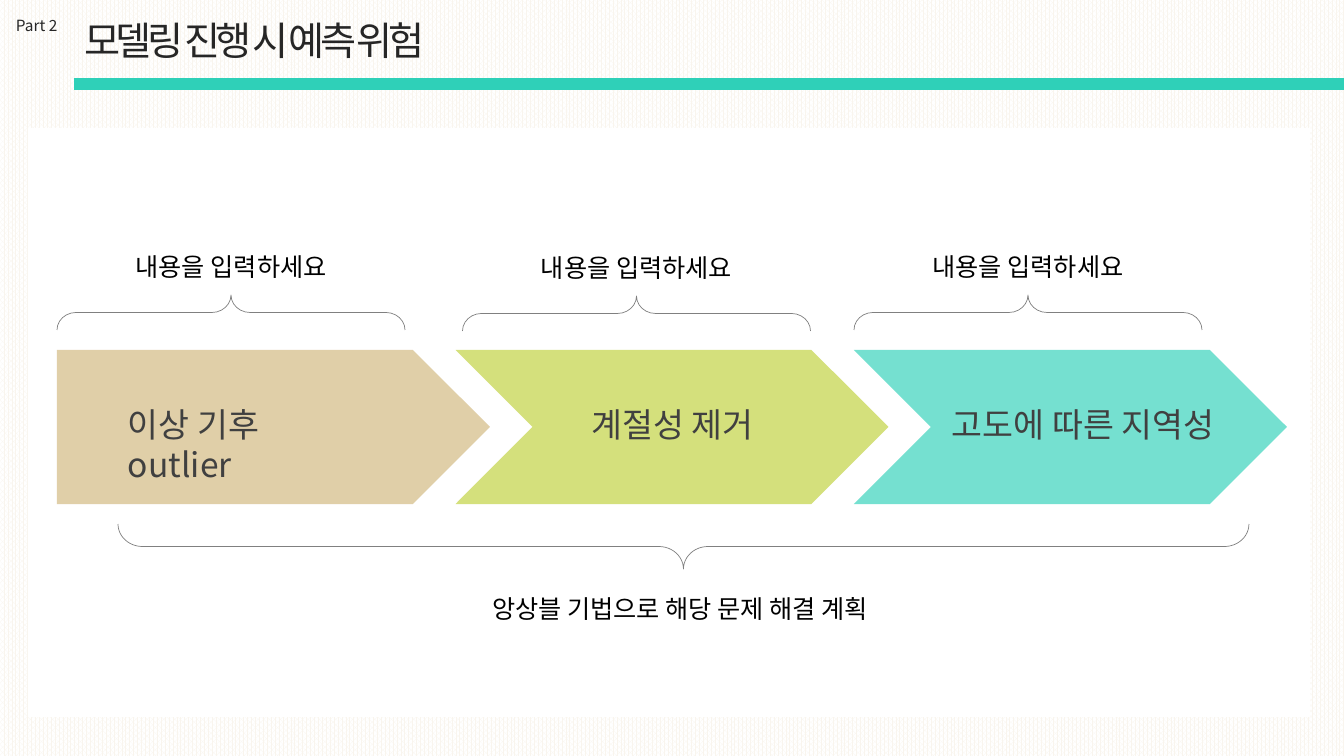
from dataclasses import dataclass

from lxml.etree import SubElement
from pptx import Presentation
from pptx.dml.color import RGBColor
from pptx.enum.dml import MSO_PATTERN
from pptx.enum.shapes import MSO_CONNECTOR, MSO_SHAPE as SHAPE
from pptx.enum.text import MSO_ANCHOR as ANCHOR, MSO_AUTO_SIZE, PP_ALIGN as ALIGN
from pptx.oxml.ns import qn
from pptx.util import Pt

SLIDE_W, SLIDE_H = 1344, 756
EMU_PER_PX = 12192000 / SLIDE_W


@dataclass(frozen=True)
class Theme:
    font: str = "Noto Sans CJK KR"
    heading: str = "262626"
    label: str = "404040"
    note: str = "000000"
    brace: str = "808080"
    accent: str = "2FD0B8"
    panel: str = "FFFFFF"
    weave: str = "F9F5EE"
    sand: str = "E0CFA8"
    lime: str = "D4E07C"
    aqua: str = "75E0D0"
    part_size: int = 11
    title_size: int = 28
    label_size: int = 24
    note_size: int = 18


THEME = Theme()


def px(n):
    return round(n * EMU_PER_PX)


def rgb(code):
    return RGBColor.from_string(code)


def write(sp, text, size, color, align=ALIGN.LEFT, spacing=None):
    """Fill a text frame with one formatted run."""
    tf = sp.text_frame
    tf.word_wrap = True
    tf.auto_size = MSO_AUTO_SIZE.NONE
    tf.vertical_anchor = ANCHOR.TOP
    p = tf.paragraphs[0]
    p.alignment = align
    r = p.add_run()
    r.text = text
    r.font.size = Pt(size)
    r.font.color.rgb = rgb(color)
    r.font.name = THEME.font
    rPr = r._r.get_or_add_rPr()
    SubElement(rPr, qn("a:ea")).set("typeface", THEME.font)
    if spacing is not None:
        rPr.set("spc", str(spacing * 100))


def add_text(s, box, *args, **kwargs):
    write(s.shapes.add_textbox(*map(px, box)), *args, **kwargs)


def add_block(s, kind, box, fill):
    sp = s.shapes.add_shape(kind, *map(px, box))
    sp.shadow.inherit = False
    sp.fill.solid()
    sp.fill.fore_color.rgb = rgb(fill)
    sp.line.fill.background()


def add_brace(s, box, rotation):
    """Draw a horizontal brace in the box: 90 points up, 270 points down."""
    x, y, w, h = box
    # The upright brace shares its centre with the turned one
    upright = (x + (w - h) / 2, y + (h - w) / 2, h, w)
    sp = s.shapes.add_shape(SHAPE.LEFT_BRACE, *map(px, upright))
    sp.rotation = rotation
    sp.adjustments[0] = 0.545
    sp.shadow.inherit = False
    sp.fill.background()
    sp.line.color.rgb = rgb(THEME.brace)
    sp.line.width = Pt(0.5)


def add_header(s, box, part, title):
    x, y, w, h = box
    # Accent rule along the bottom
    rule = s.shapes.add_connector(
        MSO_CONNECTOR.STRAIGHT, px(x + 74), px(y + h), px(x + w), px(y + h))
    rule.line.color.rgb = rgb(THEME.accent)
    rule.line.width = Pt(8)
    SubElement(rule._element.spPr, qn("a:effectLst"))
    # Part number and title
    add_text(s, (x + 6, y + 11, 66, 29), part, THEME.part_size, THEME.heading)
    sp = s.shapes.title
    sp.left, sp.top, sp.width, sp.height = map(px, (x + 74, y + 11, 420, 57))
    write(sp, title, THEME.title_size, THEME.heading, spacing=-3)


def add_step(s, box, kind, fill, label, label_dx, label_w, brace_dx, brace_dy):
    """Place an arrow with its label, and a brace and note above it."""
    x, y, w, h = box
    add_block(s, kind, box, fill)
    add_text(s, (x + label_dx, y + 49, label_w, 92), label,
             THEME.label_size, THEME.label)
    brace_x, brace_y, brace_w = x + brace_dx, y - 55 + brace_dy, 348
    add_brace(s, (brace_x, brace_y, brace_w, 35), 90)
    add_text(s, (brace_x, brace_y - 49, brace_w, 40), "내용을 입력하세요",
             THEME.note_size, THEME.note, ALIGN.CENTER)


def add_process(s, box):
    x, y, w, h = box
    add_block(s, SHAPE.RECTANGLE, box, THEME.panel)
    # Three steps at an equal pitch
    steps = [
        (SHAPE.PENTAGON, THEME.sand, "이상 기후 outlier", 61, 250, 0, 0),
        (SHAPE.CHEVRON, THEME.lime, "계절성 제거", 126, 220, 7, 1),
        (SHAPE.CHEVRON, THEME.aqua, "고도에 따른 지역성", 88, 330, 0, 0),
    ]
    for i, step in enumerate(steps):
        add_step(s, (x + 29 + 398.5 * i, y + 222, 433, 154), *step)
    # Joint conclusion
    add_brace(s, (x + 90, y + 396, 1131, 45), 270)
    add_text(s, (x + 427, y + 460, 450, 40), "앙상블 기법으로 해당 문제 해결 계획",
             THEME.note_size, THEME.note, ALIGN.CENTER)


def main():
    prs = Presentation()
    prs.slide_width, prs.slide_height = px(SLIDE_W), px(SLIDE_H)
    s = prs.slides.add_slide(prs.slide_layouts[5])
    # Woven background
    fill = s.background.fill
    fill.patterned()
    fill.pattern = MSO_PATTERN.PERCENT_75
    fill.fore_color.rgb = rgb(THEME.weave)
    fill.back_color.rgb = rgb(THEME.panel)
    add_header(s, (0, 0, SLIDE_W, 84), "Part 2", "모델링 진행 시 예측 위험")
    add_process(s, (28, 128, 1282, 589))
    prs.save("out.pptx")


if __name__ == "__main__":
    main()
